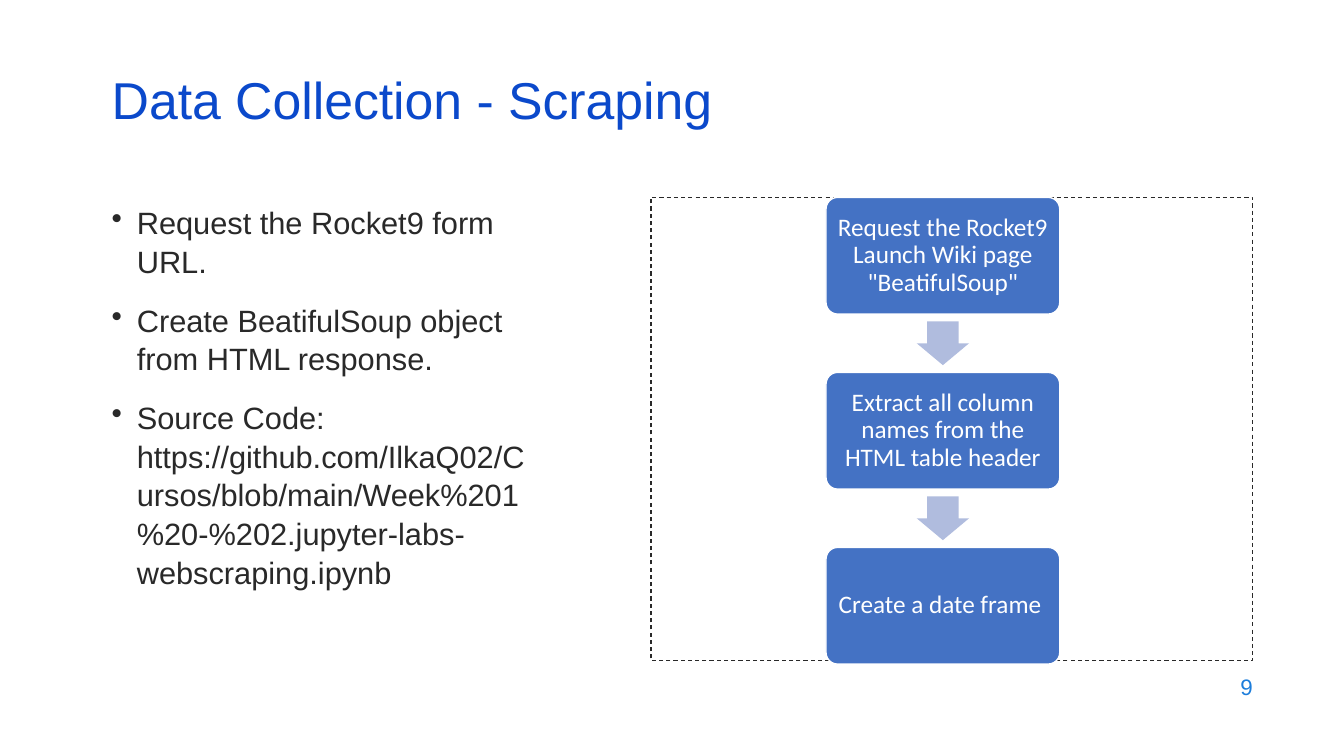
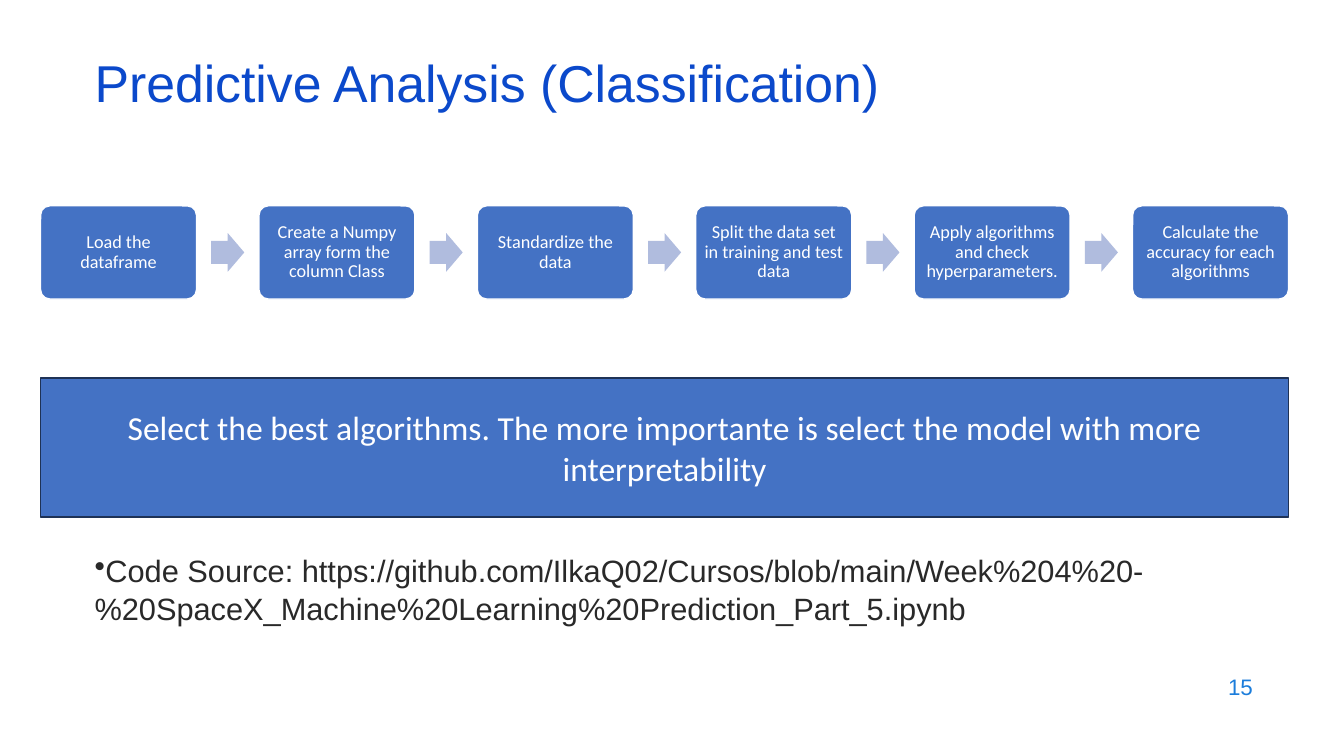
import pptx
import pptx.util
import pptx.dml.color
import pptx.enum.dml
import pptx.enum.shapes
import pptx.enum.text
import pptx.oxml.ns
from lxml import etree

Pt = pptx.util.Pt
RGBColor = pptx.dml.color.RGBColor
SHAPE = pptx.enum.shapes.MSO_SHAPE
ANCHOR = pptx.enum.text.MSO_ANCHOR
ALIGN = pptx.enum.text.PP_ALIGN

TITLE_BLUE = RGBColor(0x0B, 0x49, 0xCB)
NUMBER_BLUE = RGBColor(0x1C, 0x7D, 0xDB)
STEP_BLUE = RGBColor(0x44, 0x72, 0xC4)
ARROW_BLUE = RGBColor(0xB0, 0xBC, 0xDE)
BANNER_EDGE = RGBColor(0x1E, 0x32, 0x56)
INK = RGBColor(0x29, 0x29, 0x29)
WHITE = RGBColor(0xFF, 0xFF, 0xFF)


class Slides:
    """Holds the shared style and the current page."""

    heading_font = "Arial"
    diagram_font = "Calibri"

    def __init__(self):
        self.deck = pptx.Presentation()
        self.deck.slide_width = Pt(960)
        self.deck.slide_height = Pt(540)
        self.page = None

    def new_page(self, title, number, left, top):
        self.page = self.deck.slides.add_slide(self.deck.slide_layouts[6])
        para = self.text_box(left, top, 828, 43.2, ANCHOR.MIDDLE).paragraphs[0]
        para.line_spacing = 0.7
        self.add_span(para, title, self.heading_font, 37, TITLE_BLUE)
        para = self.text_box(686, 474.5, 216, 31.7, ANCHOR.MIDDLE).paragraphs[0]
        para.alignment = ALIGN.RIGHT
        self.add_span(para, str(number), self.heading_font, 16, NUMBER_BLUE)

    def add_span(self, para, text, font, size, color):
        span = para.add_run()
        span.text = text
        span.font.name = font
        span.font.size = Pt(size)
        span.font.color.rgb = color

    def text_box(self, left, top, width, height, anchor=ANCHOR.TOP):
        box = self.page.shapes.add_textbox(Pt(left), Pt(top), Pt(width), Pt(height))
        box.text_frame.word_wrap = True
        box.text_frame.vertical_anchor = anchor
        return box.text_frame

    def bullets(self, left, top, width, height, items, hang):
        frame = self.text_box(left, top, width, height)
        for index, item in enumerate(items):
            para = frame.add_paragraph() if index else frame.paragraphs[0]
            properties = para._p.get_or_add_pPr()
            properties.set("marL", str(Pt(hang)))
            properties.set("indent", str(-Pt(hang)))
            mark = etree.SubElement(properties, pptx.oxml.ns.qn("a:buChar"))
            mark.set("char", "•")
            para.line_spacing = 1.05
            if index:
                para.space_before = Pt(14)
            self.add_span(para, item, self.heading_font, 22, INK)

    def shape(self, kind, left, top, width, height, fill=None, edge=None,
              weight=1, adjustments=()):
        shape = self.page.shapes.add_shape(
            kind, Pt(left), Pt(top), Pt(width), Pt(height))
        shape.shadow.inherit = False
        for index, value in enumerate(adjustments):
            shape.adjustments[index] = value
        if fill is None:
            shape.fill.background()
        else:
            shape.fill.solid()
            shape.fill.fore_color.rgb = fill
        if edge is None:
            shape.line.fill.background()
        else:
            shape.line.color.rgb = edge
            shape.line.width = Pt(weight)
        return shape

    def label(self, shape, text, size, spacing, inset):
        frame = shape.text_frame
        frame.word_wrap = True
        frame.vertical_anchor = ANCHOR.MIDDLE
        frame.margin_left = frame.margin_right = Pt(inset)
        frame.margin_top = frame.margin_bottom = Pt(inset)
        para = frame.paragraphs[0]
        para.alignment = ALIGN.CENTER
        para.line_spacing = spacing
        self.add_span(para, text, self.diagram_font, size, WHITE)

    def frame(self, left, top, width, height):
        shape = self.shape(SHAPE.RECTANGLE, left, top, width, height,
                           edge=INK, weight=0.75)
        shape.line.dash_style = pptx.enum.dml.MSO_LINE.DASH

    def banner(self, left, top, width, height, text):
        shape = self.shape(SHAPE.RECTANGLE, left, top, width, height,
                           STEP_BLUE, BANNER_EDGE)
        self.label(shape, text, 24, 1.0, 7.2)

    def process(self, left, top, width, height, gap, arrow, steps,
                size, inset, vertical=False):
        """Equal steps, with an arrow centred in each gap between them."""
        arrow_width, arrow_height = arrow
        kind = SHAPE.DOWN_ARROW if vertical else SHAPE.RIGHT_ARROW
        for index, text in enumerate(steps):
            x = left if vertical else left + index * (width + gap)
            y = top + index * (height + gap) if vertical else top
            step = self.shape(SHAPE.ROUNDED_RECTANGLE, x, y, width, height,
                              STEP_BLUE, WHITE, adjustments=[0.1])
            self.label(step, text, size, 0.9, inset)
            if index < len(steps) - 1:
                middle_x = x + (width / 2 if vertical else width + gap / 2)
                middle_y = y + (height + gap / 2 if vertical else height / 2)
                self.shape(kind, middle_x - arrow_width / 2,
                           middle_y - arrow_height / 2, arrow_width,
                           arrow_height, ARROW_BLUE, adjustments=[0.6, 0.5])


def main():
    slides = Slides()

    # Scraping: bullets beside a vertical process
    slides.new_page("Data Collection - Scraping", 9, 72.7, 54.7)
    slides.bullets(72.7, 141, 309.6, 300, [
        "Request the Rocket9 form URL.",
        "Create BeatifulSoup object from HTML response.",
        "Source Code: https://github.com/IlkaQ02/Cursos/blob/main/"
        "Week%201%20-%202.jupyter-labs-webscraping.ipynb",
    ], hang=18)
    slides.frame(465, 141, 430, 331)
    slides.process(590, 141, 167, 83.4, 41.6, (37.4, 31.2), [
        "Request the Rocket9 Launch Wiki page \"BeatifulSoup\"",
        "Extract all column names from the HTML table header",
        "Create a date frame ",
    ], size=18, inset=5, vertical=True)

    # Classification: horizontal process, banner and source
    slides.new_page("Predictive Analysis (Classification)", 15, 60.5, 42.5)
    slides.process(29, 147, 111.4, 66.6, 44.6, (23.6, 27.6), [
        "Load the dataframe",
        "Create a Numpy array form the column Class",
        "Standardize the data",
        "Split the data set in training and test data",
        "Apply algorithms and check hyperparameters.",
        "Calculate the accuracy for each algorithms",
    ], size=13, inset=3.5)
    slides.banner(29, 270, 891.4, 99.4,
                  "Select the best algorithms. The more importante is select "
                  "the model with more interpretability")
    slides.bullets(60.5, 389, 767.5, 98, [
        "Code Source: https://github.com/IlkaQ02/Cursos/blob/main/Week%204"
        "%20-%20SpaceX_Machine%20Learning%20Prediction_Part_5.ipynb",
    ], hang=0)

    slides.deck.save("out.pptx")


if __name__ == "__main__":
    main()
